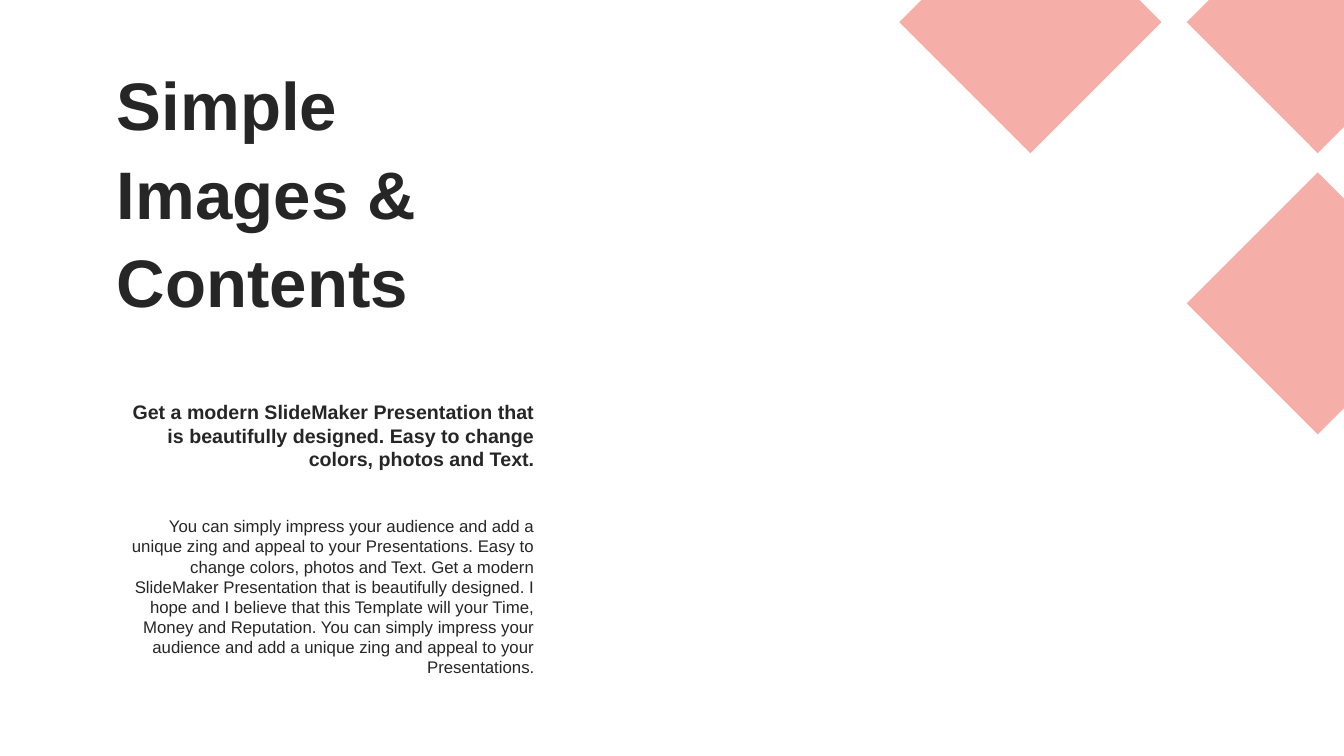
from lxml.etree import SubElement
from pptx import Presentation
from pptx.dml.color import RGBColor as Rgb
from pptx.enum.text import MSO_ANCHOR as Anchor, MSO_AUTO_SIZE as AutoSize, PP_ALIGN as Align
from pptx.oxml.ns import qn
from pptx.util import Inches, Pt

WIDTH, HEIGHT = 13.33, 7.5
COLUMN, ROW = WIDTH / 100, HEIGHT / 100
FONT = "Arial"
COLORS = {"text": "262626", "diamond": "F0786E", "background": "FFFFFF"}

TITLE = "Simple Images & Contents"
LEAD = ("Get a modern SlideMaker Presentation that is beautifully designed. "
        "Easy to change colors, photos and Text.")
BODY = ("You can simply impress your audience and add a unique zing and appeal to your "
        "Presentations. Easy to change colors, photos and Text. Get a modern SlideMaker "
        "Presentation that is beautifully designed. I hope and I believe that this Template "
        "will your Time, Money and Reputation. You can simply impress your audience and add "
        "a unique zing and appeal to your Presentations.")

DIAMOND_RADIUS = 1.3
DIAMOND_ORIGIN = (10.22, 0.22)
DIAMOND_STEP = (2.85, 2.79)
DIAMOND_CELLS = [(1, 1), (0, 0), (1, 0)]


def place(shape, left, top, width, height):
    """Position a shape in hundredths of the slide's width and height."""
    shape.left, shape.width = Inches(left * COLUMN), Inches(width * COLUMN)
    shape.top, shape.height = Inches(top * ROW), Inches(height * ROW)


def write(shape, text, size, bold, align):
    frame = shape.text_frame
    frame.word_wrap = True
    frame.text = text
    para = frame.paragraphs[0]
    para.alignment = align
    para.space_before = Pt(0)
    font = para.runs[0].font
    font.name, font.size, font.bold = FONT, Pt(size), bold
    font.color.rgb = Rgb.from_string(COLORS["text"])
    return frame


def add_title(slide, text):
    title = slide.shapes.title
    place(title, 7.95, 7.7, 26.9, 34.4)
    frame = write(title, text, 48, True, Align.LEFT)
    frame.auto_size = AutoSize.NONE
    frame.vertical_anchor = Anchor.MIDDLE
    frame.paragraphs[0].line_spacing = 1.1


def add_paragraph_box(slide, text, top, height, size, bold=False):
    box = slide.shapes.add_textbox(0, 0, 0, 0)
    place(box, 7.88, top, 32.63, height)
    frame = write(box, text, size, bold, Align.RIGHT)
    frame.auto_size = AutoSize.SHAPE_TO_FIT_TEXT


def clip(points, axis, limit, side):
    """Keep the part of a polygon where side * (coordinate - limit) >= 0."""
    kept = []
    for start, end in zip(points, points[1:] + points[:1]):
        before, after = (side * (point[axis] - limit) for point in (start, end))
        if before >= 0:
            kept.append(start)
        if before * after < 0:
            share = before / (before - after)
            kept.append(tuple(a + share * (b - a) for a, b in zip(start, end)))
    return kept


def add_diamond(slide, column, row):
    """Draw one diamond of the grid, cut off at the slide's edges."""
    x = DIAMOND_ORIGIN[0] + column * DIAMOND_STEP[0]
    y = DIAMOND_ORIGIN[1] + row * DIAMOND_STEP[1]
    radius = DIAMOND_RADIUS
    corners = [(x, y - radius), (x + radius, y), (x, y + radius), (x - radius, y)]
    corners = clip(clip(corners, 0, WIDTH, -1), 1, 0, 1)
    corners = [(Inches(across), Inches(down)) for across, down in corners]
    builder = slide.shapes.build_freeform(*corners[0])
    builder.add_line_segments(corners[1:], close=True)
    diamond = builder.convert_to_shape()
    diamond.shadow.inherit = False
    diamond.line.fill.background()
    diamond.fill.solid()
    diamond.fill.fore_color.rgb = Rgb.from_string(COLORS["diamond"])
    color = diamond.fill._xPr.find(qn("a:solidFill"))[0]
    SubElement(color, qn("a:alpha"), val="60000")


def main():
    deck = Presentation()
    deck.slide_width, deck.slide_height = Inches(WIDTH), Inches(HEIGHT)
    slide = deck.slides.add_slide(deck.slide_layouts[5])
    slide.background.fill.solid()
    slide.background.fill.fore_color.rgb = Rgb.from_string(COLORS["background"])
    add_title(slide, TITLE)
    add_paragraph_box(slide, LEAD, 52.27, 10.8, 14, bold=True)
    add_paragraph_box(slide, BODY, 67.6, 22.93, 12)
    for column, row in DIAMOND_CELLS:
        add_diamond(slide, column, row)
    deck.save("out.pptx")


if __name__ == "__main__":
    main()
